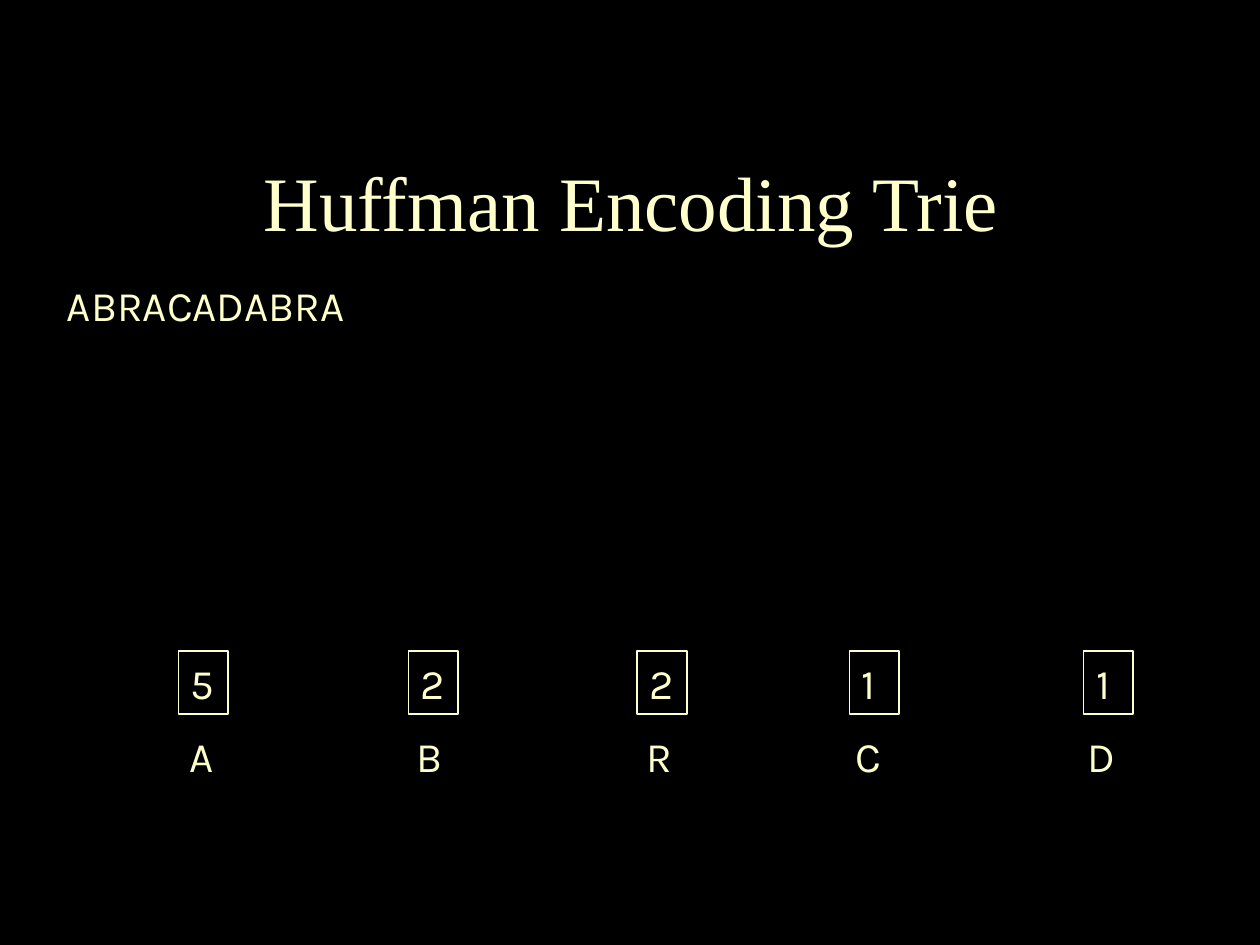
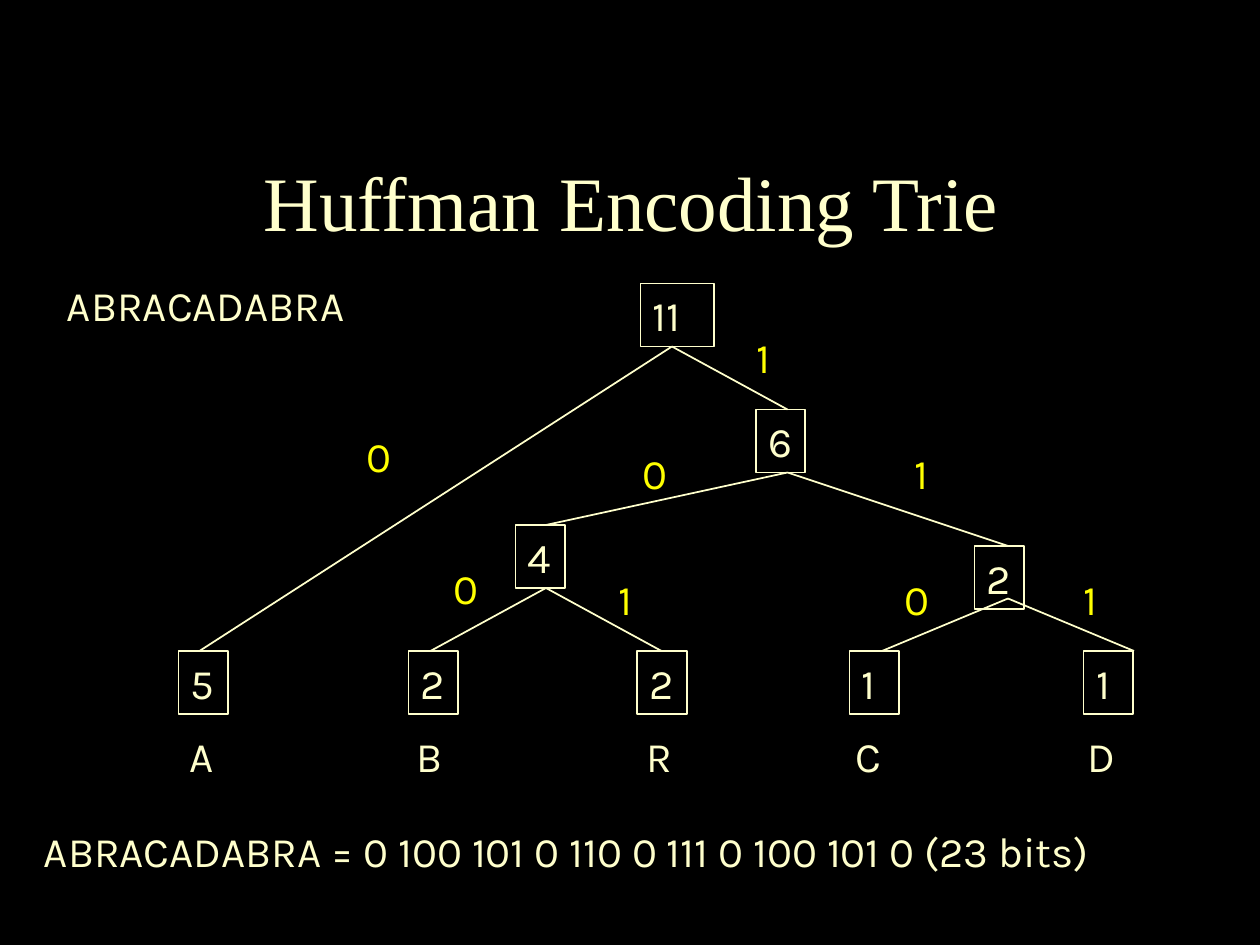
from collections import namedtuple

from pptx import Presentation
from pptx.dml.color import RGBColor
from pptx.enum.shapes import MSO_CONNECTOR, MSO_SHAPE
from pptx.enum.text import MSO_ANCHOR, PP_ALIGN
from pptx.oxml.ns import qn
from pptx.util import Inches, Pt
from lxml.etree import SubElement

COLORS = {"back": "000000", "text": "FFFFCC", "bit": "FFFF00"}
TITLE_FONT, BODY_FONT = "Times New Roman", "Karla"

# Grid of 120 columns by 90 rows
WIDE, HIGH = Inches(10), Inches(7.5)
COLS, ROWS = 120, 90
BOX_W, BOX_H = 4.7, 6
LEAF_ROW, NAME_ROW = 62, 69

# A node has a count, a left column, a top row, a width,
# the column where its edges meet and the row where they leave below
Node = namedtuple("Node", "count col row width joint foot")


def make_node(count, col, row, joint, width=BOX_W, foot=None):
    return Node(count, col, row, width, joint, foot or row + BOX_H)


LEAVES = {
    "A": make_node("5", 17, LEAF_ROW, 19),
    "B": make_node("2", 38.9, LEAF_ROW, 41),
    "R": make_node("2", 60.7, LEAF_ROW, 63),
    "C": make_node("1", 80.9, LEAF_ROW, 84),
    "D": make_node("1", 103.2, LEAF_ROW, 108),
}
NAME_COLS = {"A": 16.9, "B": 38.5, "R": 60.4, "C": 80.3, "D": 102.4}

INNER = {
    "BR": make_node("4", 49.1, 50, 52),
    "CD": make_node("2", 92.8, 52, 96, foot=57),
    "BRCD": make_node("6", 72, 39, 75),
    "ABRCD": make_node("11", 61, 27, 64, width=7),
}
# Parent: its child for bit 0, its child for bit 1
TREE = {"BR": "B R", "CD": "C D", "BRCD": "BR CD", "ABRCD": "A BRCD"}

# Column and row of each bit
BITS = {
    "0": [(33.7, 40.4), (60, 42), (42, 53), (85, 54)],
    "1": [(70.9, 31), (85.9, 42), (57.7, 54), (102, 54)],
}


def at_col(col):
    return round(WIDE * col / COLS)


def at_row(row):
    return round(HIGH * row / ROWS)


def area(col, row, width, height):
    return at_col(col), at_row(row), at_col(width), at_row(height)


def color(name):
    return RGBColor.from_string(COLORS[name])


def write(shape, text, size=24, font=BODY_FONT, ink="text",
          align=PP_ALIGN.LEFT, anchor=MSO_ANCHOR.TOP):
    frame = shape.text_frame
    frame.word_wrap = True
    frame.vertical_anchor = anchor
    para = frame.paragraphs[0]
    para.text = text
    para.alignment = align
    para.font.size = Pt(size)
    para.font.name = font
    para.font.color.rgb = color(ink)


def add_text(slide, text, col, row, width, height=BOX_H, **style):
    write(slide.shapes.add_textbox(*area(col, row, width, height)), text, **style)


def add_node(slide, node):
    place = area(node.col, node.row, node.width, BOX_H)
    box = slide.shapes.add_shape(MSO_SHAPE.RECTANGLE, *place)
    box.shadow.inherit = False
    box.fill.background()
    box.line.color.rgb = color("text")
    box.line.width = Pt(1)
    write(box, node.count)


def add_edge(slide, child, parent):
    line = slide.shapes.add_connector(
        MSO_CONNECTOR.STRAIGHT, at_col(child.joint), at_row(child.row),
        at_col(parent.joint), at_row(parent.foot))
    line.line.color.rgb = color("text")
    line.line.width = Pt(1)
    SubElement(line._element.spPr, qn("a:effectLst"))


def add_base(deck):
    """Add a slide with the title, the word and the row of leaves."""
    slide = deck.slides.add_slide(deck.slide_layouts[6])
    add_text(slide, "Huffman Encoding Trie", 1.8, 11.6, 116.6, 15.1, size=44,
             font=TITLE_FONT, align=PP_ALIGN.CENTER, anchor=MSO_ANCHOR.MIDDLE)
    add_text(slide, "ABRACADABRA", 5.2, 26, 30.7)
    for name, leaf in LEAVES.items():
        add_text(slide, name, NAME_COLS[name], NAME_ROW, 5)
        add_node(slide, leaf)
    return slide


def add_tree(slide):
    nodes = LEAVES | INNER
    for name, pair in TREE.items():
        add_node(slide, nodes[name])
        for child in pair.split():
            add_edge(slide, nodes[child], nodes[name])
    for bit, spots in BITS.items():
        for col, row in spots:
            add_text(slide, bit, col, row, BOX_W, ink="bit")


def main():
    deck = Presentation()
    deck.slide_width, deck.slide_height = WIDE, HIGH
    fill = deck.slide_master.background.fill
    fill.solid()
    fill.fore_color.rgb = color("back")

    # Leaves only
    add_base(deck)

    # Full trie and the encoded word
    slide = add_base(deck)
    add_tree(slide)
    add_text(slide, "ABRACADABRA = 0 100 101 0 110 0 111 0 100 101 0 (23 bits)",
             3, 78, 114.1)
    deck.save("out.pptx")


if __name__ == "__main__":
    main()
